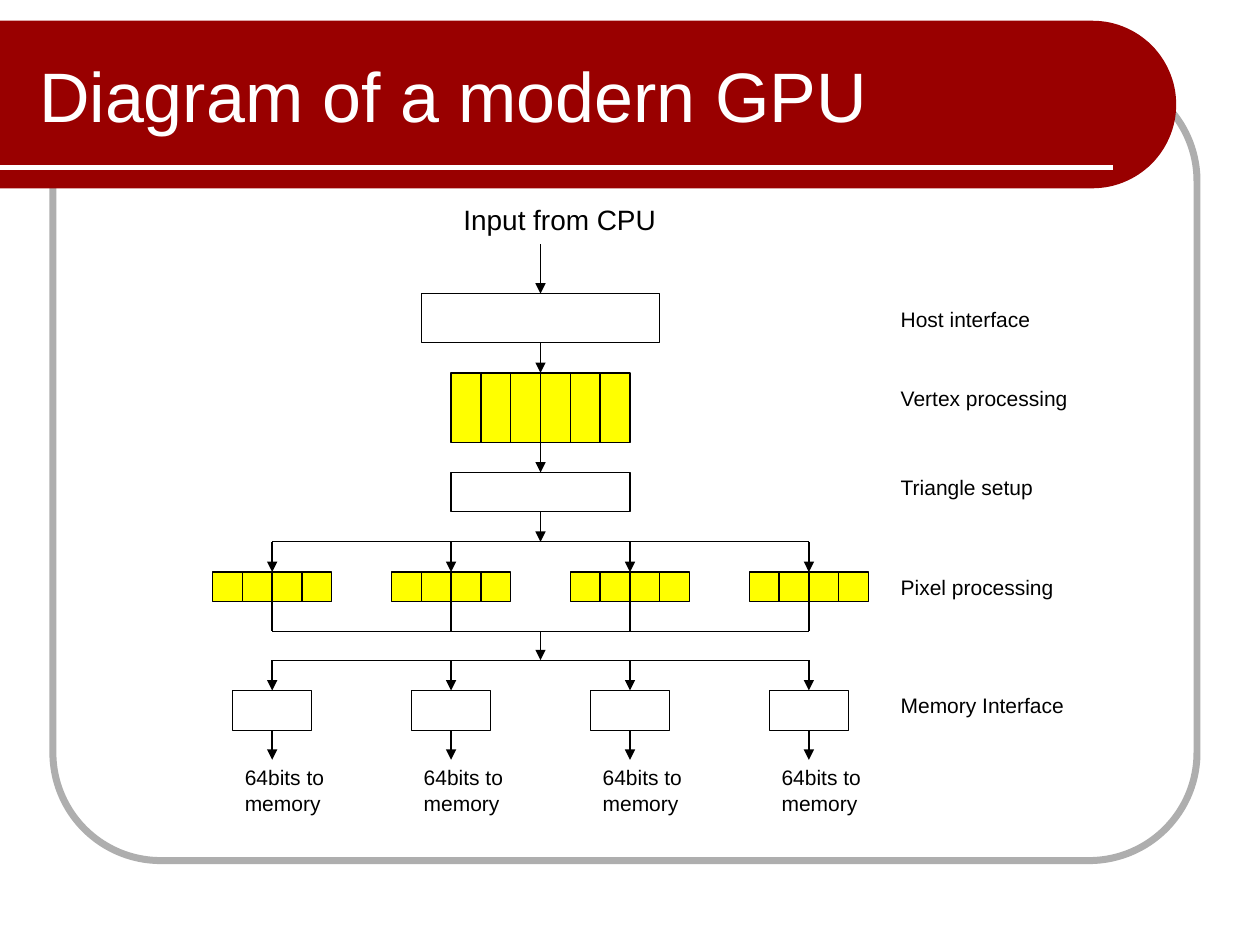
"""Build a slide showing the processing stages of a modern GPU."""
from math import cos, pi, sin

from lxml.etree import SubElement
from pptx import Presentation
from pptx.dml.color import RGBColor
from pptx.enum.shapes import MSO_CONNECTOR as CONNECTOR, MSO_SHAPE as SHAPE
from pptx.enum.text import MSO_ANCHOR as ANCHOR, MSO_AUTO_SIZE as AUTO_SIZE, PP_ALIGN as ALIGN
from pptx.oxml.ns import qn
from pptx.util import Inches, Pt

COLORS = {"banner": "990000", "frame": "AEAEAE", "yellow": "FFFF00", "white": "FFFFFF", "black": "000000"}
COLORS = {name: RGBColor.from_string(value) for name, value in COLORS.items()}

presentation = Presentation()
presentation.slide_width, presentation.slide_height = Inches(10), Inches(7.5)
slide = presentation.slides.add_slide(presentation.slide_layouts[5])
shapes = slide.shapes


def add_box(left, top, width, height, fill="white", text="", size=12):
    box = shapes.add_shape(SHAPE.RECTANGLE, Inches(left), Inches(top), Inches(width), Inches(height))
    box.shadow.inherit = False
    box.fill.solid()
    box.fill.fore_color.rgb = COLORS[fill]
    if not text:
        box.line.color.rgb = COLORS["black"]
        box.line.width = Pt(0.75)
        return box
    box.line.fill.background()
    text_frame = box.text_frame
    text_frame.text = text
    text_frame.word_wrap = False
    text_frame.vertical_anchor = ANCHOR.MIDDLE
    for paragraph in text_frame.paragraphs:
        paragraph.alignment = ALIGN.LEFT
        paragraph.font.name = "Arial"
        paragraph.font.size = Pt(size)
        paragraph.font.color.rgb = COLORS["black"]
    return box


def add_line(x1, y1, x2, y2, arrow=False, source=None, target=None, color="black", width=0.75):
    line = shapes.add_connector(CONNECTOR.STRAIGHT, Inches(x1), Inches(y1), Inches(x2), Inches(y2))
    line.line.color.rgb = COLORS[color]
    line.line.width = Pt(width)
    if arrow:
        SubElement(line.line._get_or_add_ln(), qn("a:tailEnd"), type="triangle")
    SubElement(line._element.spPr, qn("a:effectLst"))
    if source:
        line.begin_connect(source, 2)
    if target:
        line.end_connect(target, 0)


frame = shapes.add_shape(SHAPE.ROUNDED_RECTANGLE, Inches(0.42), Inches(0.58), Inches(9.08), Inches(6.25))
frame.adjustments[0] = 0.137
frame.shadow.inherit = False
frame.fill.background()
frame.line.color.rgb = COLORS["frame"]
frame.line.width = Pt(4)

radius, arc_steps = 0.665, 60
angles = [-pi / 2 + pi * step / arc_steps for step in range(arc_steps + 1)]
arc = [(Inches(8.67 + radius * cos(angle)), Inches(0.83 + radius * sin(angle))) for angle in angles]
builder = shapes.build_freeform(0, arc[0][1])
builder.add_line_segments(arc + [(0, arc[-1][1])], close=True)
banner = builder.convert_to_shape()
banner.shadow.inherit = False
banner.fill.solid()
banner.fill.fore_color.rgb = COLORS["banner"]
banner.line.fill.background()
add_line(0, 1.33, 8.83, 1.33, color="white", width=3)

title = shapes.title
shapes._spTree.append(title._element)
title.left, title.top, title.width, title.height = Inches(0.21), Inches(0.25), Inches(7.79), Inches(1)
title.text_frame.text = "Diagram of a modern GPU"
title.text_frame.auto_size = AUTO_SIZE.NONE
title.text_frame.vertical_anchor = ANCHOR.MIDDLE
title_paragraph = title.text_frame.paragraphs[0]
title_paragraph.alignment = ALIGN.LEFT
title_paragraph.font.name = "Arial"
title_paragraph.font.size = Pt(40)
title_paragraph.font.color.rgb = COLORS["white"]

pitch = 1.42
cell = pitch / 6
lanes = [2.16 + pitch * index for index in range(4)]
center = (lanes[0] + lanes[-1]) / 2

add_box(center - 3 * cell, 1.62, pitch, 0.24, text="Input from CPU", size=16)
host = add_box(center - 4 * cell, 2.33, 8 * cell, 0.39)
for index in range(6):
    add_box(center + (index - 3) * cell, 2.96, cell, 0.55, "yellow")
triangle_setup = add_box(center - 3 * cell, 3.75, pitch, 0.31)
add_line(center, 1.94, center, 2.33, True, target=host)
add_line(center, 2.72, center, 2.96, True, source=host)
add_line(center, 3.51, center, 3.75, True, target=triangle_setup)
add_line(center, 4.06, center, 4.3, True, source=triangle_setup)
add_line(center, 5.01, center, 5.24, True)

for bus_y in (4.3, 5.01, 5.24):
    add_line(lanes[0], bus_y, lanes[-1], bus_y)

for lane in lanes:
    for index in range(4):
        add_box(lane + (index - 2) * cell, 4.54, cell, cell, "yellow")
    add_line(lane, 4.3, lane, 4.54, True)
    add_line(lane, 4.77, lane, 5.01)
    memory = add_box(lane - 0.315, 5.48, 0.63, 0.32)
    add_line(lane, 5.24, lane, 5.48, True, target=memory)
    add_line(lane, 5.8, lane, 6.03, True, source=memory)
    add_box(lane - 0.315, 6.11, 0.63, 0.32, text="64bits to\nmemory")

stages = [
    ("Host interface", 2.41),
    ("Vertex processing", 3.04),
    ("Triangle setup", 3.75),
    ("Pixel processing", 4.54),
    ("Memory Interface", 5.48),
]
for stage, top in stages:
    add_box(7.05, top, 1.65, 0.24, text=stage)

presentation.save("out.pptx")
